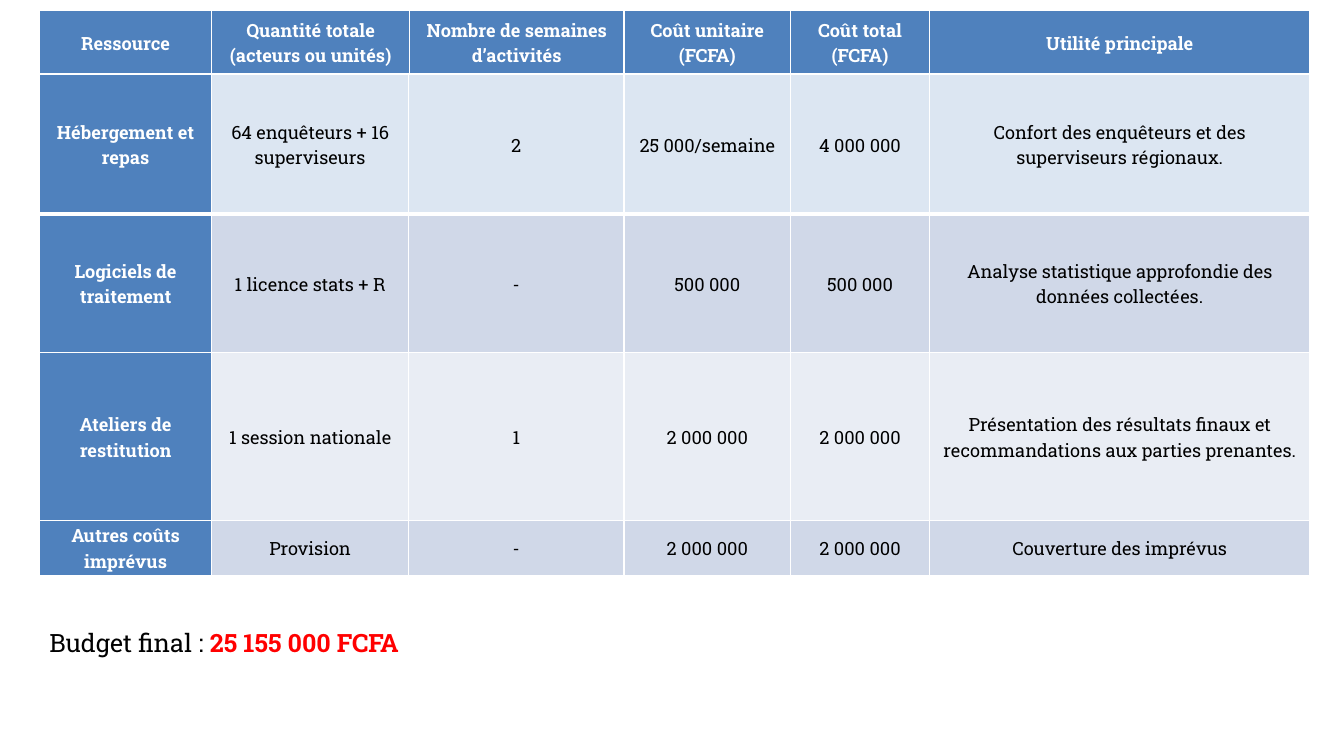
from lxml import etree
from pptx import Presentation
from pptx.dml.color import RGBColor
from pptx.enum.text import MSO_ANCHOR, PP_ALIGN
from pptx.oxml.ns import qn
from pptx.util import Inches, Pt

MIDDLE, CENTER = MSO_ANCHOR.MIDDLE, PP_ALIGN.CENTER
FONT = "Roboto Slab"
COLORS = {"blue": "4F81BD", "pale": "DCE6F2", "band": "D0D8E8", "light": "E9EDF4",
          "white": "FFFFFF", "black": "000000", "red": "FF0000"}
CELL_FORMAT = {"vertical_anchor": MIDDLE, "margin_left": Inches(0.07),
               "margin_right": Inches(0.07), "margin_top": 0, "margin_bottom": 0}
PARAGRAPH_FORMAT = {"alignment": CENTER, "line_spacing": 1.07, "space_after": Pt(8)}


def format_run(run, size, color, bold):
    for name, value in {"name": FONT, "size": Pt(size), "bold": bold}.items():
        setattr(run.font, name, value)
    run.font.color.rgb = RGBColor.from_string(COLORS[color])


def add_budget_table(slide, top, widths, rows):
    """Each row is (height, fill of the value cells, bottom border in points, texts)."""
    height = sum(row[0] for row in rows)
    frame = slide.shapes.add_table(len(rows), len(widths), Inches(0.39), Inches(top),
                                   Inches(sum(widths)), Inches(height))
    table = frame.table
    for column, width in zip(table.columns, widths):
        column.width = Inches(width)
    for row_index, (row_height, fill, bottom_border, texts) in enumerate(rows):
        table.rows[row_index].height = Inches(row_height)
        top_border = rows[row_index - 1][2] if row_index else 1
        for column_index, text in enumerate(texts):
            cell = table.cell(row_index, column_index)
            is_heading = column_index == 0 or fill == "blue"
            for name, value in CELL_FORMAT.items():
                setattr(cell, name, value)
            cell.fill.solid()
            cell.fill.fore_color.rgb = RGBColor.from_string(
                COLORS["blue" if is_heading else fill])
            paragraph = cell.text_frame.paragraphs[0]
            for name, value in PARAGRAPH_FORMAT.items():
                setattr(paragraph, name, value)
            run = paragraph.add_run()
            run.text = text
            format_run(run, 13, "white" if is_heading else "black", is_heading)

            # White borders, placed before the fill
            properties = cell._tc.get_or_add_tcPr()
            borders = {"a:lnL": 1, "a:lnR": 1, "a:lnT": top_border, "a:lnB": bottom_border}
            for position, (tag, width) in enumerate(borders.items()):
                line = etree.Element(qn(tag), w=str(Pt(width)))
                solid = etree.SubElement(line, qn("a:solidFill"))
                etree.SubElement(solid, qn("a:srgbClr"), val=COLORS["white"])
                properties.insert(position, line)


presentation = Presentation()
presentation.slide_width = Inches(13.33)
presentation.slide_height = Inches(7.5)
slide = presentation.slides.add_slide(presentation.slide_layouts[6])

# Column headings
add_budget_table(slide, 0.1, [1.71, 1.96, 2.13, 1.65, 1.38, 3.77], [
    (0.64, "blue", 3, ["Ressource", "Quantité totale (acteurs ou unités)",
                       "Nombre de semaines d’activités", "Coût unitaire (FCFA)",
                       "Coût total (FCFA)", "Utilité principale"]),
])

# Budget lines
add_budget_table(slide, 0.74, [1.71, 1.95, 2.14, 1.65, 1.38, 3.77], [
    (1.38, "pale", 3, ["Hébergement et repas", "64 enquêteurs + 16 superviseurs", "2",
                       "25 000/semaine", "4 000 000",
                       "Confort des enquêteurs et des superviseurs régionaux."]),
    (1.38, "band", 1, ["Logiciels de traitement", "1 licence stats + R", "-",
                       "500 000", "500 000",
                       "Analyse statistique approfondie des données collectées."]),
    (1.66, "light", 1, ["Ateliers de restitution", "1 session nationale", "1",
                        "2 000 000", "2 000 000",
                        "Présentation des résultats finaux et recommandations "
                        "aux parties prenantes."]),
    (0.55, "band", 1, ["Autres coûts imprévus", "Provision", "-",
                       "2 000 000", "2 000 000", "Couverture des imprévus"]),
])

# Final budget
budget_box = slide.shapes.add_textbox(Inches(0.39), Inches(6.17), Inches(5.88), Inches(0.71))
budget_box.text_frame.word_wrap = True
budget_paragraph = budget_box.text_frame.paragraphs[0]
for text, color, bold in [("Budget final : ", "black", False),
                          ("25 155 000 FCFA", "red", True)]:
    run = budget_paragraph.add_run()
    run.text = text
    format_run(run, 18, color, bold)

presentation.save("out.pptx")
